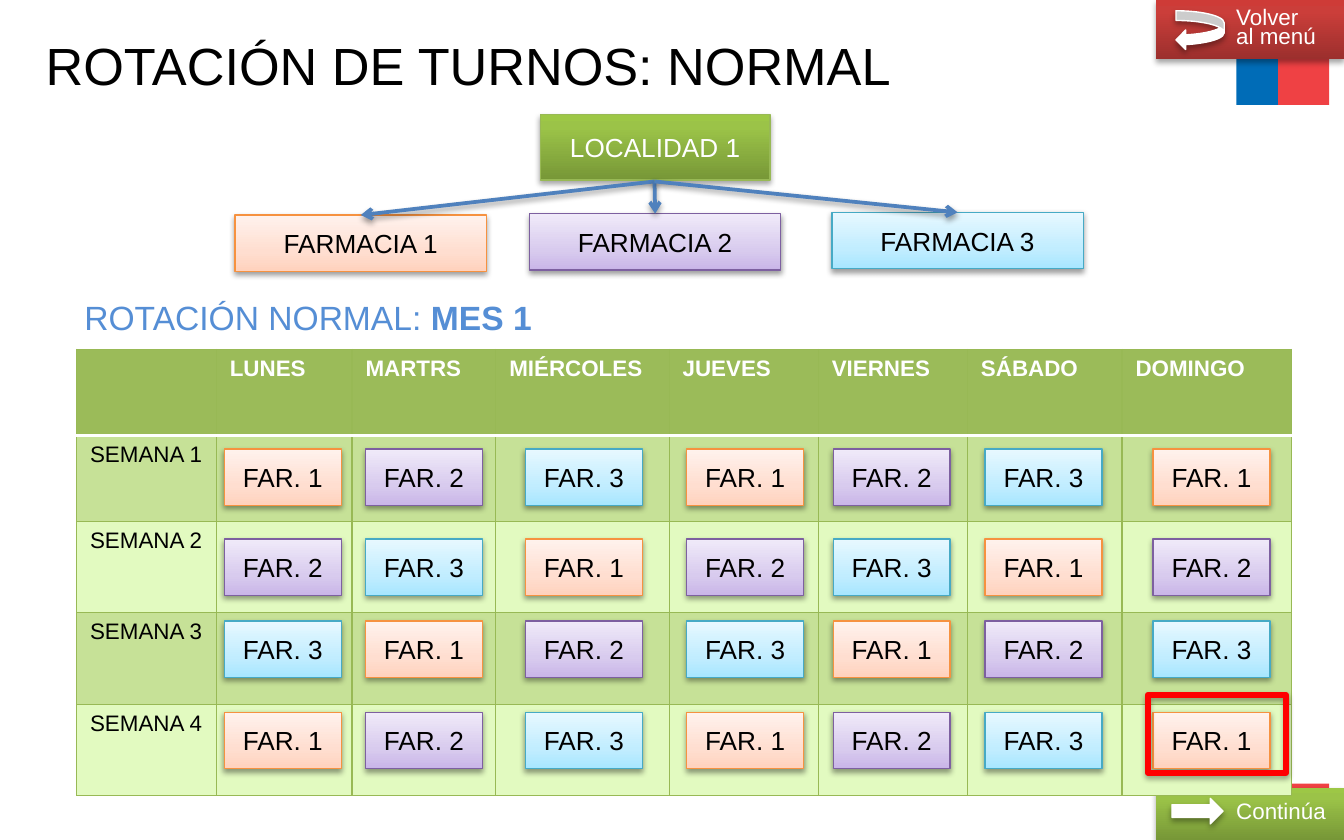
from dataclasses import dataclass
from lxml.etree import SubElement
from pptx import Presentation
from pptx.dml.color import RGBColor
from pptx.enum.shapes import MSO_CONNECTOR, MSO_SHAPE
from pptx.enum.text import MSO_ANCHOR, PP_ALIGN
from pptx.oxml.ns import qn
from pptx.util import Inches, Pt


@dataclass(frozen=True)
class Theme:
    font: str = "Arial"
    title: int = 28
    head: int = 18
    body: int = 14
    small: int = 12
    black: str = "000000"
    white: str = "FFFFFF"
    blue: str = "006CB7"
    coral: str = "EF4144"
    sky: str = "558ED5"
    arrow: str = "4F81BD"
    alert: str = "FF0000"
    edge: str = "98B955"
    top: str = "9BBB59"
    bands: tuple = ("C6E197", "E2FAC0")
    green: tuple = ((0, "779737"), (80, "9BC348"), (100, "9DC746"))
    red: tuple = ((0, "9C2F2D"), (80, "CB3E3A"), (100, "CE3B37"))
    # One gradient and one outline for each pharmacy
    shops: tuple = (
        (((0, "FFD2BD"), (35, "FFDED0"), (100, "FFF2ED")), "F69240"),
        (((0, "C9B5E8"), (35, "D8CBEE"), (100, "F0EAF9")), "7D60A0"),
        (((0, "A7E6FF"), (35, "C1EDFF"), (100, "E7F8FF")), "46AAC5"),
    )


T = Theme()
DAYS = ["LUNES", "MARTRS", "MIÉRCOLES", "JUEVES", "VIERNES", "SÁBADO", "DOMINGO"]
WEEKS = 4
COLS = [10.4, 10.1, 10.7, 12.9, 11.1, 11.1, 11.5, 12.6]
ROWS = [6.4, 6.4, 6.8, 6.8, 6.8]
CARD_X = [16.7, 27.2, 39.1, 51.1, 62, 73.3, 85.8]
CARD_Y = [33.4, 40.1, 46.2, 53]
SHOP_AT = [(17.5, 16), (39.4, 15.9), (61.9, 15.8)]
SHOP_W, CARD_W, BOX_H = 18.7, 8.7, 4.2


def grid(*units):
    """Turn units of a 100 by 62.5 grid into slide lengths."""
    return [Inches(unit / 10) for unit in units]


def rgb(tint):
    return RGBColor.from_string(tint)


def write(frame, *paras, size=T.body, color=T.black, bold=False, align=None,
          anchor=None, indent=0, space=None, wrap=True):
    """Write paragraphs; in a tuple of runs every second run is bold."""
    frame.word_wrap = wrap
    if anchor is not None:
        frame.vertical_anchor = anchor
    for i, para in enumerate(paras):
        line = frame.paragraphs[0] if i == 0 else frame.add_paragraph()
        line.alignment = align
        if space:
            line.line_spacing = space
        if indent:
            line.level = 1
            line._p.get_or_add_pPr().set("marL", str(grid(indent)[0]))
        runs = para if isinstance(para, tuple) else (para,)
        for k, text in enumerate(runs):
            run = line.add_run()
            run.text = text
            run.font.name, run.font.size = T.font, Pt(size)
            run.font.bold = bold or k % 2 == 1
            run.font.color.rgb = rgb(color)


def shade(props, alpha=38, gap=1.6):
    """Give shape properties a soft shadow that falls straight down."""
    list_ = props.find(qn("a:effectLst"))
    if list_ is None:
        list_ = SubElement(props, qn("a:effectLst"))
    cast = SubElement(list_, qn("a:outerShdw"), blurRad=str(Pt(3.1)),
                      dist=str(Pt(gap)), dir="5400000", rotWithShape="0")
    tint = SubElement(cast, qn("a:srgbClr"), val=T.black)
    SubElement(tint, qn("a:alpha"), val=str(alpha * 1000))


def blend(shape, stops):
    """Fill with a gradient that runs from bottom to top."""
    shape.fill.gradient()
    shape.fill.gradient_angle = 90
    marks = shape._element.spPr.find(qn("a:gradFill")).find(qn("a:gsLst"))
    for mark in list(marks):
        marks.remove(mark)
    for pos, tint in stops:
        mark = SubElement(marks, qn("a:gs"), pos=str(pos * 1000))
        SubElement(mark, qn("a:srgbClr"), val=tint)


def block(slide, at, fill=None, line=None, width=0.75, kind=MSO_SHAPE.RECTANGLE,
          cast=None):
    """Add a shape; fill is a colour, gradient stops or None."""
    shape = slide.shapes.add_shape(kind, *grid(*at))
    shape.shadow.inherit = False
    if fill is None:
        shape.fill.background()
    elif isinstance(fill, str):
        shape.fill.solid()
        shape.fill.fore_color.rgb = rgb(fill)
    else:
        blend(shape, fill)
    if line:
        shape.line.color.rgb = rgb(line)
        shape.line.width = Pt(width)
    else:
        shape.line.fill.background()
    if cast:
        shade(shape._element.spPr, *cast)
    return shape


def label(slide, at, text, fill, line, color=T.black, cast=(38, 1.6)):
    box = block(slide, at, fill, line, cast=cast)
    write(box.text_frame, text, color=color, align=PP_ALIGN.CENTER,
          anchor=MSO_ANCHOR.MIDDLE)


def button(slide, at, fill, lines, kind, icon):
    box = block(slide, at, fill, cast=(35, 1.8))
    write(box.text_frame, *lines, size=T.small, color=T.white, indent=5,
          space=0.7, align=PP_ALIGN.LEFT, anchor=MSO_ANCHOR.MIDDLE)
    block(slide, icon, T.white, T.white, kind=kind, cast=(35, 1.8))


def arrow(slide, start, end):
    link = slide.shapes.add_connector(MSO_CONNECTOR.STRAIGHT, *grid(*start, *end))
    link.line.color.rgb = rgb(T.arrow)
    link.line.width = Pt(2)
    SubElement(link.line._ln, qn("a:tailEnd"), type="arrow")
    shade(link._element.spPr)


def border(cell, side, tint, width):
    props = cell._tc.get_or_add_tcPr()
    edge = SubElement(props, qn("a:" + side), w=str(Pt(width)))
    SubElement(SubElement(edge, qn("a:solidFill")), qn("a:srgbClr"), val=tint)


def table(slide, left, top):
    rows, cols = len(ROWS), len(COLS)
    frame = slide.shapes.add_table(rows, cols, *grid(left, top, sum(COLS), sum(ROWS)))
    chart = frame.table
    chart.first_row = chart.horz_banding = False
    for col, width in zip(chart.columns, grid(*COLS)):
        col.width = width
    for row, height in zip(chart.rows, grid(*ROWS)):
        row.height = height
    for r in range(rows):
        for c in range(cols):
            cell = chart.cell(r, c)
            for side in ("lnL", "lnR", "lnT", "lnB"):
                rule = (r, side) in ((0, "lnB"), (1, "lnT"))
                border(cell, side, *((T.white, 2) if rule else (T.edge, 0.75)))
            cell.fill.solid()
            cell.fill.fore_color.rgb = rgb(T.bands[(r - 1) % 2] if r else T.top)
            if r == 0 and c:
                write(cell.text_frame, DAYS[c - 1], size=T.small,
                      color=T.white, bold=True)
            elif r and c == 0:
                write(cell.text_frame, f"SEMANA {r}", size=T.small)


def title(slide, at, text):
    head = slide.shapes.title
    head.left, head.top, head.width, head.height = grid(*at)
    frame = head.text_frame
    frame.margin_left = frame.margin_right = frame.margin_top = frame.margin_bottom = 0
    write(frame, text, size=T.title, align=PP_ALIGN.LEFT, space=0.9,
          anchor=MSO_ANCHOR.MIDDLE, wrap=False)


def flags(slide):
    for top, height in ((0, 7.8), (58.3, 4.2)):
        block(slide, (92, top, 3.1, height), T.blue)
        block(slide, (95.1, top, 3.8, height), T.coral)


def tree(slide):
    label(slide, (40.2, 8.5, 17.1, 4.9), "LOCALIDAD 1", T.green, T.edge,
          T.white, (35, 1.8))
    for i, (x, y) in enumerate(SHOP_AT):
        label(slide, (x, y, SHOP_W, BOX_H), f"FARMACIA {i + 1}", *T.shops[i])
        arrow(slide, (48.7, 13.5), (x + SHOP_W / 2, y))


def shifts(slide):
    """Each day and each week moves on to the next pharmacy."""
    for week in range(WEEKS):
        for day in range(len(DAYS)):
            i = (week + day) % len(T.shops)
            label(slide, (CARD_X[day], CARD_Y[week], CARD_W, BOX_H),
                  f"FAR. {i + 1}", *T.shops[i])


def main():
    deck = Presentation()
    deck.slide_width, deck.slide_height = grid(100, 62.5)
    slide = deck.slides.add_slide(deck.slide_layouts[5])
    flags(slide)
    title(slide, (3.4, 1.4, 78.3, 7.4), "ROTACIÓN DE TURNOS: NORMAL")
    tree(slide)
    button(slide, (86, 0, 14, 4.4), T.red, ("Volver", "al menú"),
           MSO_SHAPE.CURVED_LEFT_ARROW, (87.5, 0.8, 3.6, 2.9))
    button(slide, (86, 58.6, 14, 3.9), T.green, ("Continúa",),
           MSO_SHAPE.RIGHT_ARROW, (87.2, 59.4, 3.8, 1.9))
    table(slide, 5.7, 26)
    shifts(slide)
    note = slide.shapes.add_textbox(*grid(5.3, 21.6, 35.6, 4))
    write(note.text_frame, ("ROTACIÓN NORMAL: ", "MES 1"), size=T.head,
          color=T.sky, wrap=False)
    block(slide, (85.4, 51.7, 10.3, 5.8), line=T.alert, width=3, cast=(35, 1.8))
    deck.save("out.pptx")


if __name__ == "__main__":
    main()
